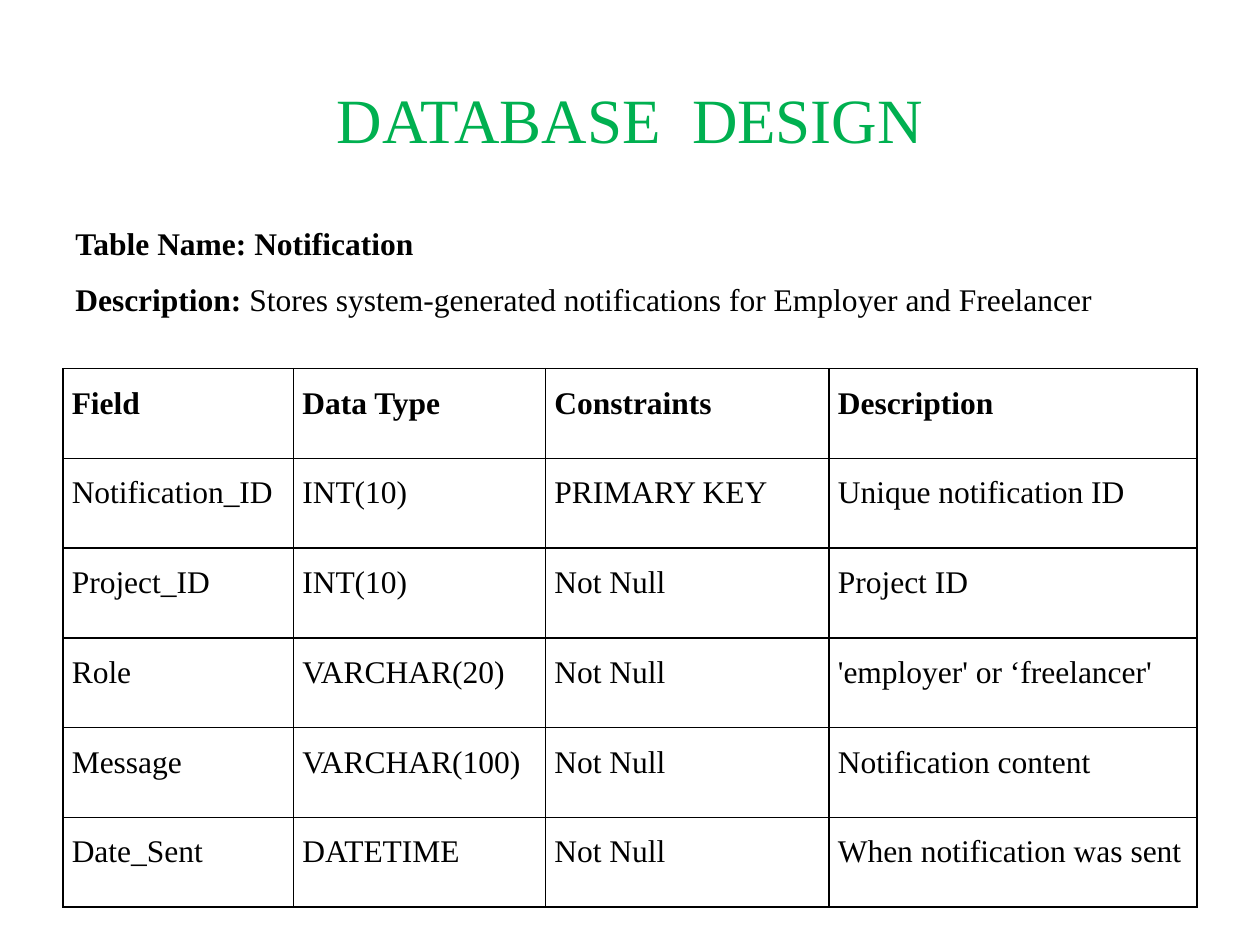
"""Build the database design slide for the Notification table."""
import pptx
import pptx.dml.color
import pptx.enum.text
import pptx.oxml
import pptx.oxml.ns
import pptx.util

GREEN = pptx.dml.color.RGBColor(0x00, 0xB0, 0x50)
BLACK = pptx.dml.color.RGBColor(0x00, 0x00, 0x00)
FONT_NAME = "Times New Roman"
WIDTH, HEIGHT = pptx.util.Inches(10), pptx.util.Inches(7.5)
MARGIN = 0.05
CONTENT = 1 - 2 * MARGIN
COLUMN_WIDTHS = (1.83, 2, 2.25, 2.92)
ALIGN = pptx.enum.text.PP_ALIGN
ANCHOR = pptx.enum.text.MSO_ANCHOR

ROWS = (
    ("Field", "Data Type", "Constraints", "Description"),
    ("Notification_ID", "INT(10)", "PRIMARY KEY", "Unique notification ID"),
    ("Project_ID", "INT(10)", "Not Null", "Project ID"),
    ("Role", "VARCHAR(20)", "Not Null", "'employer' or ‘freelancer'"),
    ("Message", "VARCHAR(100)", "Not Null", "Notification content"),
    ("Date_Sent", "DATETIME", "Not Null", "When notification was sent"),
)
TITLE = ((("DATABASE  DESIGN", False),),)
SUMMARY = (
    (("Table Name: Notification", True),),
    (
        ("Description:", True),
        (" Stores system-generated notifications for Employer and Freelancer", False),
    ),
)
CELL_FORMAT = {
    "margin_left": pptx.util.Inches(0.07),
    "margin_right": pptx.util.Inches(0.07),
    "margin_top": 0,
    "margin_bottom": 0,
}
CELL_PARAGRAPH = {
    "alignment": ALIGN.JUSTIFY,
    "line_spacing": 1.5,
    "space_after": pptx.util.Pt(8),
}


def apply_format(target, values):
    """Set each named attribute on the target."""
    for name, value in values.items():
        setattr(target, name, value)


def add_run(paragraph, text, bold, size=18, color=BLACK):
    """Append one styled run to a paragraph."""
    run = paragraph.add_run()
    run.text = text
    apply_format(run.font, {"name": FONT_NAME, "size": pptx.util.Pt(size), "bold": bold})
    run.font.color.rgb = color


def add_text(slide, top, height, paragraphs, paragraph_format, anchor=ANCHOR.TOP, **style):
    """Add a content-wide text box placed by shares of the slide height."""
    box = slide.shapes.add_textbox(
        int(MARGIN * WIDTH), int(top * HEIGHT), int(CONTENT * WIDTH), int(height * HEIGHT)
    )
    frame = box.text_frame
    apply_format(frame, {"word_wrap": True, "vertical_anchor": anchor})
    for index, runs in enumerate(paragraphs):
        paragraph = frame.add_paragraph() if index else frame.paragraphs[0]
        apply_format(paragraph, paragraph_format)
        for text, bold in runs:
            add_run(paragraph, text, bold, **style)


def add_borders(cell):
    """Draw a thin black line on all four sides of a cell."""
    properties = cell._tc.get_or_add_tcPr()
    namespace = pptx.oxml.ns.nsdecls("a")
    for position, side in enumerate(("lnL", "lnR", "lnT", "lnB")):
        line = pptx.oxml.parse_xml(
            f'<a:{side} {namespace} w="{pptx.util.Pt(1)}"><a:solidFill>'
            f'<a:srgbClr val="{BLACK}"/></a:solidFill></a:{side}>'
        )
        properties.insert(position, line)


def add_field_table(slide, top, height):
    """Add the table of fields with a bold header row."""
    frame = slide.shapes.add_table(
        len(ROWS), len(COLUMN_WIDTHS),
        int(MARGIN * WIDTH), int(top * HEIGHT), int(CONTENT * WIDTH), int(height * HEIGHT),
    )
    table = frame.table
    apply_format(table, {"first_row": False, "horz_banding": False})
    for column, width in zip(table.columns, COLUMN_WIDTHS):
        column.width = pptx.util.Inches(width)
    for row_index, texts in enumerate(ROWS):
        for column_index, text in enumerate(texts):
            cell = table.cell(row_index, column_index)
            apply_format(cell, CELL_FORMAT)
            cell.fill.background()
            add_borders(cell)
            paragraph = cell.text_frame.paragraphs[0]
            apply_format(paragraph, CELL_PARAGRAPH)
            add_run(paragraph, text, row_index == 0)


def main():
    """Create the slide and save the presentation."""
    presentation = pptx.Presentation()
    apply_format(presentation, {"slide_width": WIDTH, "slide_height": HEIGHT})
    slide = presentation.slides.add_slide(presentation.slide_layouts[6])
    add_text(slide, 0.21, 0.66, SUMMARY, {"line_spacing": 1.5})
    add_text(slide, 0.04, 0.17, TITLE, {"alignment": ALIGN.CENTER},
             anchor=ANCHOR.MIDDLE, size=36, color=GREEN)
    add_field_table(slide, 0.39, 0.57)
    presentation.save("out.pptx")


if __name__ == "__main__":
    main()
